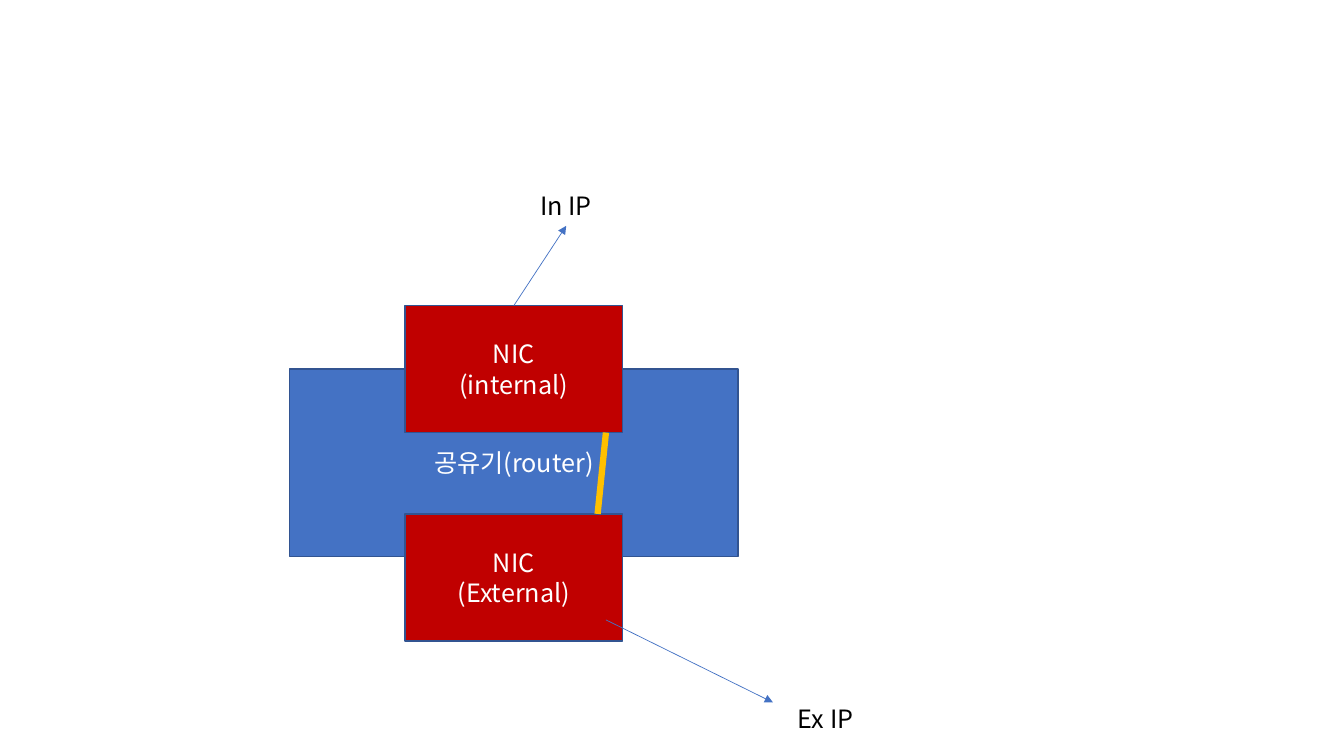
import pptx
import pptx.dml.color
import pptx.enum.shapes
import pptx.enum.text
import pptx.oxml.ns
import pptx.util
import lxml.etree

Cm = pptx.util.Cm
Pt = pptx.util.Pt
qn = pptx.oxml.ns.qn
Color = pptx.dml.color.RGBColor.from_string

theme = {
    "font": "Noto Sans CJK KR",
    "size": Pt(18),
    "line_height": Pt(21.6),
    "router": Color("4472C4"),
    "card": Color("C00000"),
    "outline": Color("325491"),
    "arrow": Color("4472C4"),
    "link": Color("FFC000"),
    "light": Color("FFFFFF"),
    "dark": Color("000000"),
}


def write(box, text, color, align):
    """Put one styled paragraph into a box."""
    para = box.text_frame.paragraphs[0]
    para.text = text
    para.alignment = align
    para.line_spacing = theme["line_height"]
    para.font.size = theme["size"]
    para.font.name = theme["font"]
    para.font.color.rgb = color
    for span in para.runs:
        span.font.language_id = None
        east_asian = lxml.etree.SubElement(span.font._element, qn("a:ea"))
        east_asian.set("typeface", theme["font"])


def connect(start, end, color, width):
    """Draw a straight line between two points in centimetres and return it."""
    line = slide.shapes.add_connector(
        pptx.enum.shapes.MSO_CONNECTOR.STRAIGHT, *map(Cm, start + end))
    line.line.color.rgb = color
    line.line.width = Pt(width)
    lxml.etree.SubElement(line._element.spPr, qn("a:effectLst"))
    return line


deck = pptx.Presentation()
deck.slide_width, deck.slide_height = Cm(33.87), Cm(19.05)
slide = deck.slides.add_slide(deck.slide_layouts[6])

# Router with its two network cards, centred on one axis
axis = 12.95
card_width, card_height = 5.49, 3.2
internal_top, external_top = 7.7, 12.95
for text, top, width, height, fill in [
    ("공유기(router)", 9.3, 11.3, 4.72, theme["router"]),
    ("NIC\v(internal)", internal_top, card_width, card_height, theme["card"]),
    ("NIC\v(External)", external_top, card_width, card_height, theme["card"]),
]:
    box = slide.shapes.add_shape(
        pptx.enum.shapes.MSO_SHAPE.RECTANGLE,
        Cm(axis - width / 2), Cm(top), Cm(width), Cm(height))
    box.shadow.inherit = False
    box.fill.solid()
    box.fill.fore_color.rgb = fill
    box.line.color.rgb = theme["outline"]
    box.line.width = Pt(1)
    box.text_frame.word_wrap = True
    box.text_frame.vertical_anchor = pptx.enum.text.MSO_ANCHOR.MIDDLE
    write(box, text, theme["light"], pptx.enum.text.PP_ALIGN.CENTER)

# Address labels
for text, left, top, width in [("Ex IP", 19.86, 17.6, 1.9), ("In IP", 13.36, 4.67, 1.83)]:
    label = slide.shapes.add_textbox(Cm(left), Cm(top), Cm(width), Cm(1.02))
    label.text_frame.word_wrap = False
    label.text_frame.auto_size = pptx.enum.text.MSO_AUTO_SIZE.SHAPE_TO_FIT_TEXT
    write(label, text, theme["dark"], pptx.enum.text.PP_ALIGN.LEFT)

# Arrows from the cards to their addresses
for start, end in [((15.27, 15.62), (19.48, 17.7)), ((axis, internal_top), (14.27, 5.69))]:
    arrow = connect(start, end, theme["arrow"], 0.5)
    lxml.etree.SubElement(arrow.line._get_or_add_ln(), qn("a:tailEnd")).set("type", "triangle")

# Link between the cards
connect((15.27, internal_top + card_height), (15.06, external_top), theme["link"], 4.5)

deck.save("out.pptx")
